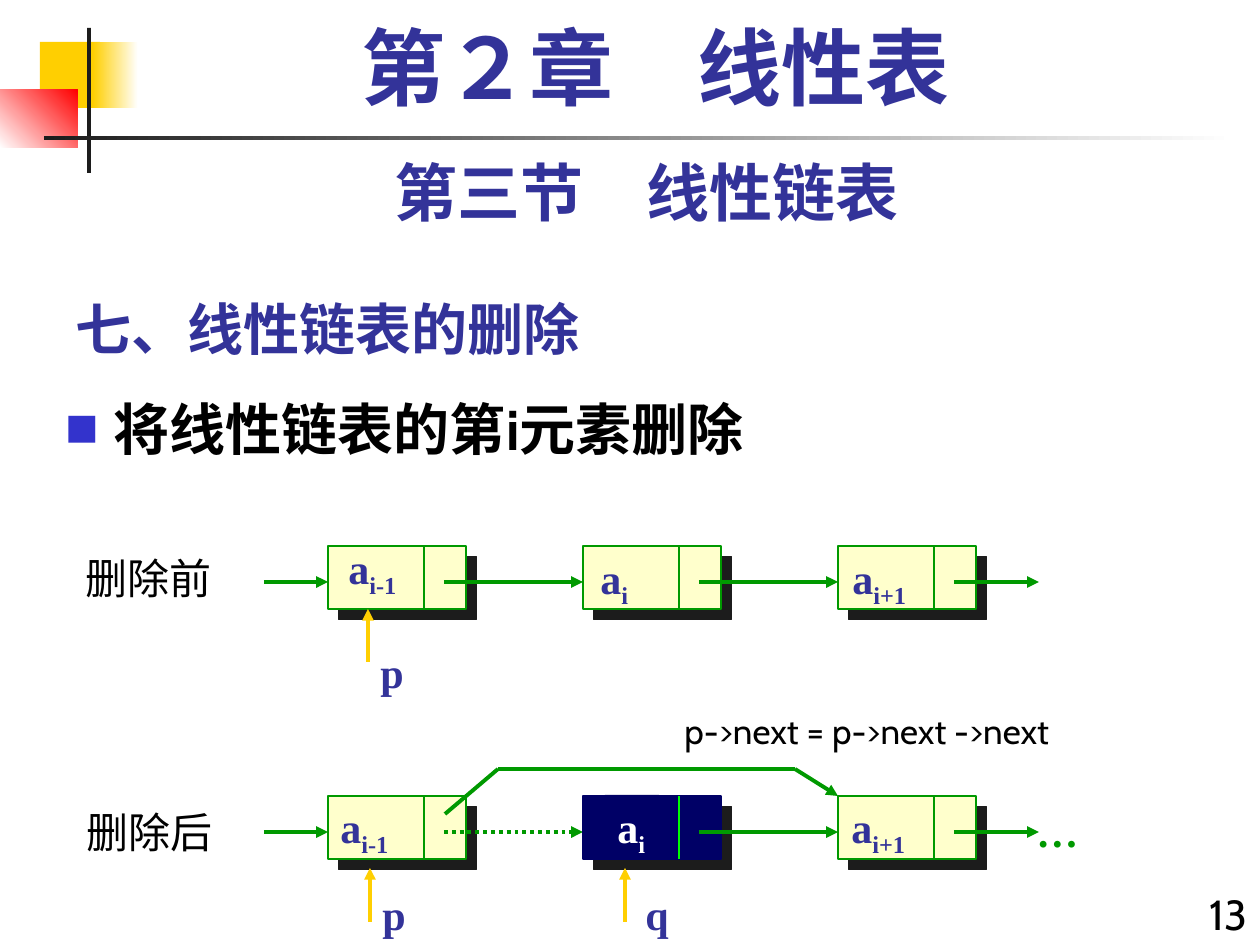
from lxml import etree
from pptx import Presentation
from pptx.dml.color import RGBColor
from pptx.enum.dml import MSO_LINE
from pptx.enum.shapes import MSO_CONNECTOR, MSO_SHAPE
from pptx.enum.text import MSO_ANCHOR, MSO_AUTO_SIZE, PP_ALIGN
from pptx.oxml.ns import qn
from pptx.util import Emu, Pt

RECT = MSO_SHAPE.RECTANGLE
LINE = MSO_CONNECTOR.STRAIGHT
DOTS = MSO_LINE.ROUND_DOT
TOP, BOTTOM = MSO_ANCHOR.TOP, MSO_ANCHOR.BOTTOM
LEFT, CENTER, RIGHT = PP_ALIGN.LEFT, PP_ALIGN.CENTER, PP_ALIGN.RIGHT
FIXED = MSO_AUTO_SIZE.NONE

BLACK = RGBColor(0x00, 0x00, 0x00)
WHITE = RGBColor(0xFF, 0xFF, 0xFF)
INK = RGBColor(0x1C, 0x1C, 0x1C)
INDIGO = RGBColor(0x33, 0x33, 0x99)
BLUE = RGBColor(0x33, 0x33, 0xCC)
NAVY = RGBColor(0x00, 0x00, 0x66)
GOLD = RGBColor(0xFF, 0xCF, 0x01)
RED = RGBColor(0xFF, 0x00, 0x00)
CREAM = RGBColor(0xFF, 0xFF, 0xCC)
GREEN = RGBColor(0x00, 0x99, 0x00)
LIME = RGBColor(0x00, 0xFF, 0x00)

CABIN, TIMES, NOTO = "Cabin", "Times New Roman", "Noto Sans CJK SC"

NODE_X, PITCH = 328, 255
NODE_W, NODE_H = 138, 63
SPLIT, START, MID = 96, 116, 36


def px(n):
    return Emu(round(n * 914400 / 126))


def sub(parent, tag, **attrs):
    """Append a DrawingML child element."""
    node = etree.SubElement(parent, qn(tag))
    for key, value in attrs.items():
        node.set(key, str(value))
    return node


def place(shape, x, y, w, h):
    shape.left, shape.top, shape.width, shape.height = map(px, (x, y, w, h))


def write(shape, text, low="", size=24, font=CABIN, color=BLACK, bold=False,
          align=LEFT, anchor=TOP, wrap=True, spacing=None):
    """Fill a shape with one paragraph; low is a subscript tail."""
    frame = shape.text_frame
    frame.word_wrap, frame.auto_size = wrap, FIXED
    frame.vertical_anchor = anchor
    para = frame.paragraphs[0]
    para.alignment, para.space_before = align, Pt(0)
    if spacing:
        para.line_spacing = spacing
    for part in filter(None, (text, low)):
        run = para.add_run()
        run.text = part
        run.font.size, run.font.bold = Pt(size), bold
        run.font.name, run.font.color.rgb = font, color
        props = run.font._element
        sub(props, "a:ea", typeface=NOTO)
        if part == low:
            props.set("baseline", "-25000")
    return para


def label(slide, x, y, w, h, text, fill=None, **style):
    box = slide.shapes.add_textbox(*map(px, (x, y, w, h)))
    if fill is not None:
        box.fill.solid()
        box.fill.fore_color.rgb = fill
    write(box, text, **style)


def mark(slide, x, y, text, w=50, color=INDIGO, **style):
    """Bold serif label beside or inside a node."""
    label(slide, x, y, w, 63, text, font=TIMES, color=color, bold=True,
          wrap=False, **style)


def block(slide, x, y, w, h, fill, to=None, angle=0):
    """Borderless rectangle, shaded from fill to a second colour if given."""
    shape = slide.shapes.add_shape(RECT, *map(px, (x, y, w, h)))
    shape.shadow.inherit = False
    shape.line.fill.background()
    if to is None:
        shape.fill.solid()
        shape.fill.fore_color.rgb = fill
    else:
        shape.fill.gradient()
        shape.fill.gradient_angle = angle
        for stop, color, pos in zip(shape.fill.gradient_stops, (fill, to), (0, 1)):
            stop.color.rgb, stop.position = color, pos
    return shape


def line(slide, x1, y1, x2, y2, color=GREEN, width=2.25, head=True, dash=None):
    wire = slide.shapes.add_connector(LINE, *map(px, (x1, y1, x2, y2)))
    wire.line.color.rgb, wire.line.width = color, Pt(width)
    if dash is not None:
        wire.line.dash_style = dash
    if head:
        sub(wire.line._get_or_add_ln(), "a:tailEnd", type="triangle")
    sub(wire._element.spPr, "a:effectLst")


def node(slide, x, y, fill=CREAM, edge=GREEN, split=GREEN):
    """Two-field list node with a hard shadow."""
    box = block(slide, x, y, NODE_W, NODE_H, fill)
    box.line.color.rgb, box.line.width = edge, Pt(0.75)
    effects = box._element.spPr.find(qn("a:effectLst"))
    shade = sub(effects, "a:outerShdw", dist=Pt(8.5), dir=2700000,
                algn="ctr", rotWithShape=0)
    sub(shade, "a:srgbClr", val=INK)
    line(slide, x + SPLIT, y, x + SPLIT, y + NODE_H, split, 1.5, head=False)


def chain(slide, y, gone=False):
    """Three linked nodes; gone marks the middle one as removed."""
    mid = y + MID
    line(slide, 264, mid, NODE_X, mid)
    for i in range(3):
        x = NODE_X + i * PITCH
        if gone and i == 1:
            node(slide, x, y, NAVY, NAVY, LIME)
        else:
            node(slide, x, y)
        end = x + PITCH if i < 2 else x + 201
        line(slide, x + START, mid, end, mid,
             dash=DOTS if gone and i == 0 else None)


def frame(slide):
    block(slide, 40, 42, 60, 66, GOLD)
    block(slide, 93, 42, 45, 66, GOLD, WHITE)
    block(slide, 0, 90, 78, 58, WHITE, RED, 45)
    block(slide, 87, 28, 4, 145, INK)
    block(slide, 44, 136, 1191, 4, INK, WHITE)


def heads(slide):
    title, body = slide.placeholders
    place(title, 63, 273, 788, 95)
    write(title, "七、线性链表的删除", size=32, font=NOTO, color=INDIGO,
          bold=True, anchor=BOTTOM)
    place(body, 53, 388, 1207, 199)
    para = write(body, "将线性链表的第i元素删除", size=32, bold=True)
    props = para._p.get_or_add_pPr()
    props.set("marL", str(px(48)))
    props.set("indent", str(-px(48)))
    sub(sub(props, "a:buClr"), "a:srgbClr", val=BLUE)
    sub(props, "a:buSzPct", val=60000)
    sub(props, "a:buFont", typeface=NOTO)
    sub(props, "a:buChar", char="■")
    label(slide, 84, 21, 1144, 105, "第２章\u3000线性表".replace("\u3000", "　"),
          size=48, font=TIMES, color=INDIGO, bold=True, align=CENTER, spacing=0.9)
    label(slide, 63, 147, 1166, 88, "第三节　线性链表", size=36, color=INDIGO,
          bold=True, align=CENTER)
    label(slide, 1176, 882, 84, 63, "13", align=RIGHT)


def before(slide):
    chain(slide, 546)
    mark(slide, 368, 640, "p")
    line(slide, 368, 662, 368, 609, GOLD)
    mark(slide, 336, 536, "a", w=78, low="i-1")
    mark(slide, 588, 546, "a", w=54, low="i")
    mark(slide, 840, 546, "a", w=84, low="i+1")
    label(slide, 73, 546, 210, 63, "删除前")


def after(slide):
    chain(slide, 796, gone=True)
    mark(slide, 1024, 799, "…", w=67, color=GREEN)
    mark(slide, 328, 795, "a", w=78, low="i-1")
    mark(slide, 605, 795, "a", w=54, low="i", color=WHITE, fill=NAVY)
    mark(slide, 839, 795, "a", w=84, low="i+1")
    for x, gap, name in ((370, 0, "p"), (625, 8, "q")):
        line(slide, x, 922, x, 868, GOLD)
        mark(slide, x + gap, 882, name)
    line(slide, 445, 814, 498, 769, head=False)
    line(slide, 498, 769, 795, 769, head=False)
    line(slide, 795, 769, 838, 796)
    label(slide, 74, 800, 158, 63, "删除后")
    label(slide, 672, 703, 536, 54, "p->next = p->next ->next", size=20)


def main():
    deck = Presentation()
    deck.slide_width, deck.slide_height = px(1260), px(945)
    slide = deck.slides.add_slide(deck.slide_layouts[1])
    frame(slide)
    heads(slide)
    before(slide)
    after(slide)
    deck.save("out.pptx")


if __name__ == "__main__":
    main()
